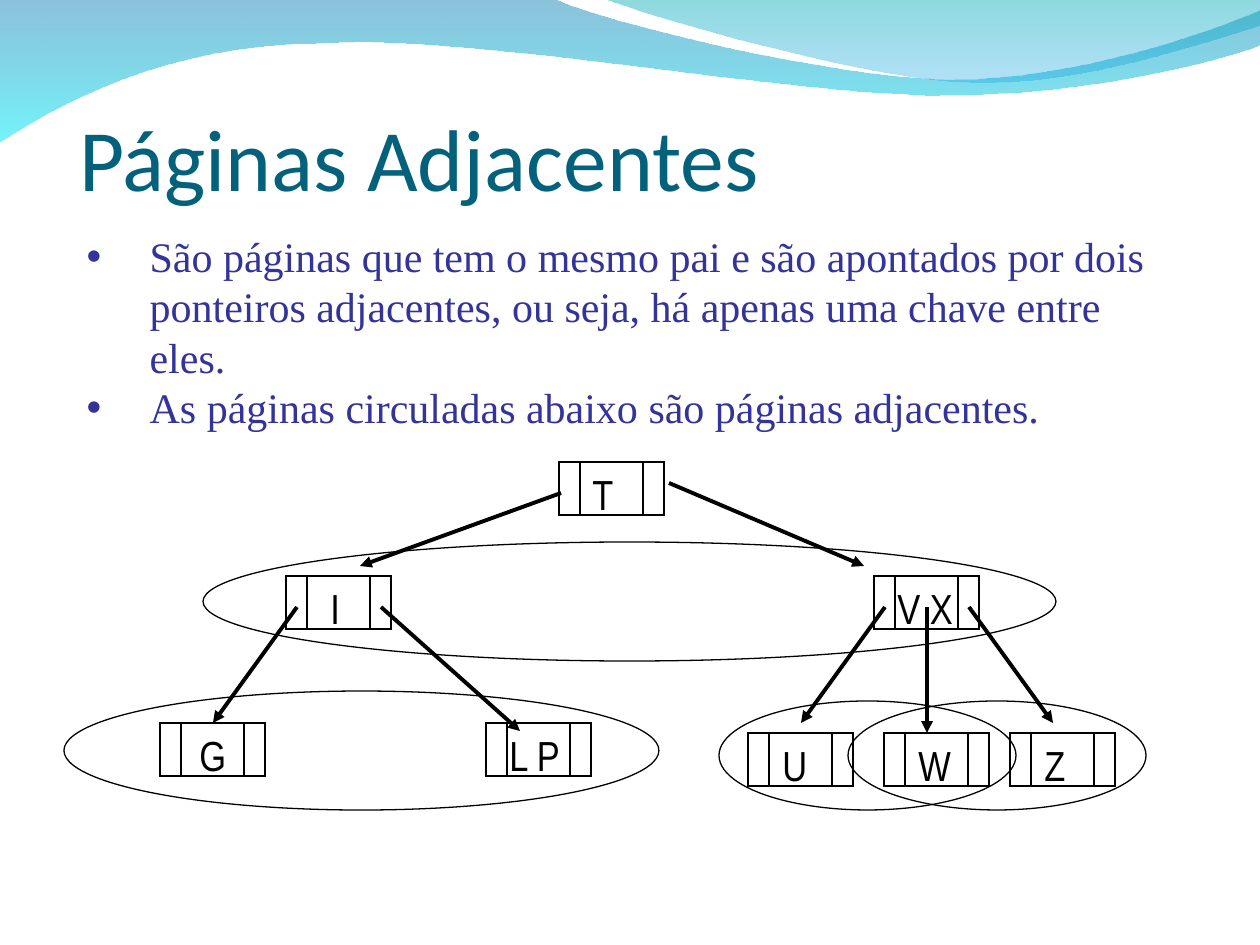
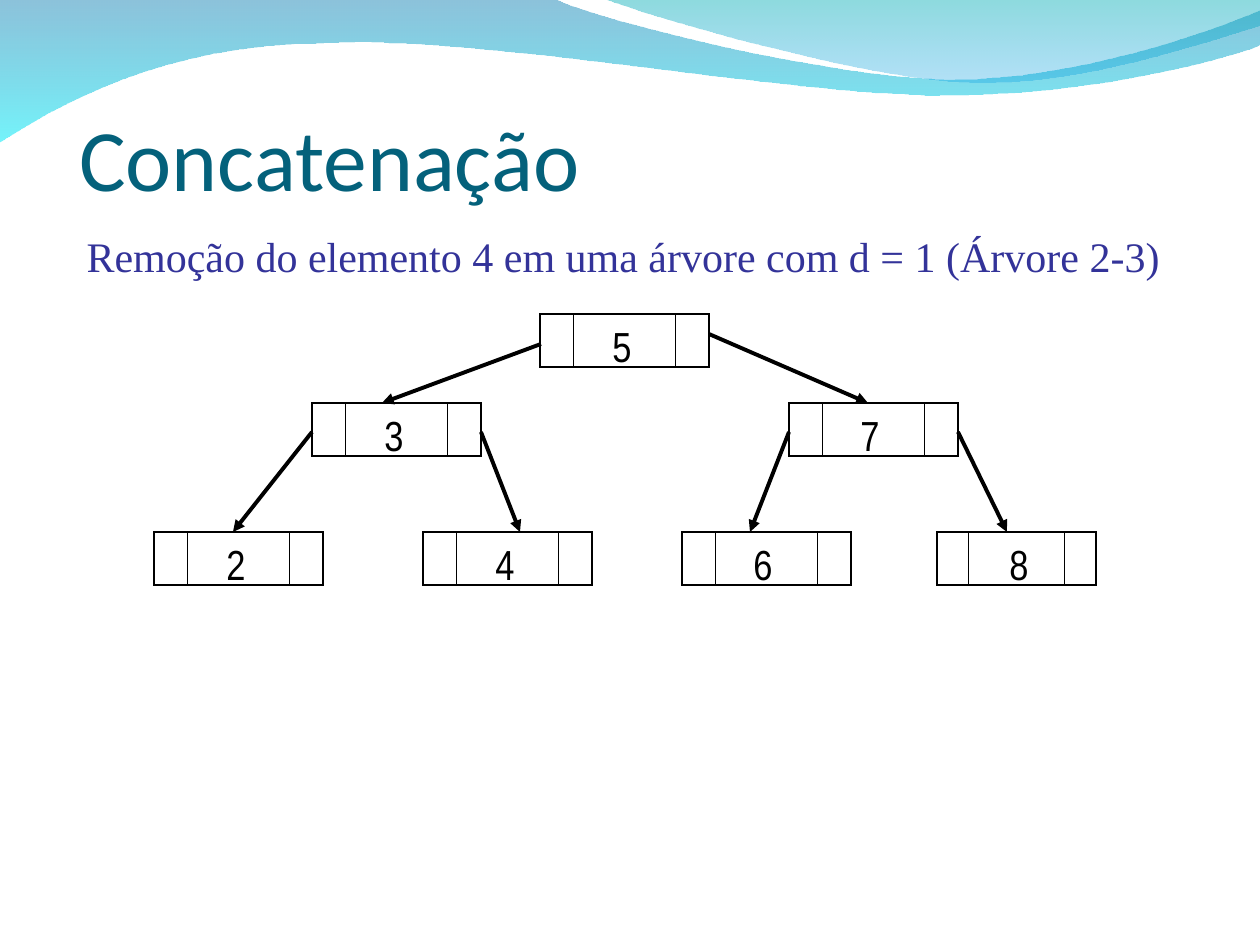
from lxml import etree
from pptx import Presentation
from pptx.dml.color import RGBColor
from pptx.enum.shapes import MSO_CONNECTOR, MSO_SHAPE
from pptx.enum.text import MSO_ANCHOR, MSO_AUTO_SIZE, PP_ALIGN
from pptx.oxml.ns import qn
from pptx.util import Emu, Pt

RECTANGLE, ELLIPSE = MSO_SHAPE.RECTANGLE, MSO_SHAPE.OVAL
STRAIGHT = MSO_CONNECTOR.STRAIGHT
LEFT, TOP, BOTTOM = PP_ALIGN.LEFT, MSO_ANCHOR.TOP, MSO_ANCHOR.BOTTOM
NO_AUTOFIT = MSO_AUTO_SIZE.NONE

SCALE = 914400 / 126
INK = RGBColor(0x00, 0x00, 0x00)
TITLE_TEAL = RGBColor(0x04, 0x61, 0x7B)
BODY_BLUE = RGBColor(0x33, 0x33, 0x99)
DEEP_BLUE = RGBColor(0x00, 0x79, 0xAF)
CYAN = RGBColor(0x00, 0xEB, 0xF8)
SEA_GREEN = RGBColor(0x00, 0xAD, 0xB6)
SKY_BLUE = RGBColor(0x00, 0x9B, 0xE5)

TITLE_FONT = {"name": "Calibri", "size": Pt(50)}
BODY_FONT = {"name": "Times New Roman", "size": Pt(24)}
KEY_FONT = {"name": "Arial Narrow", "size": Pt(24)}
PLAIN_PARAGRAPH = {"alignment": LEFT, "space_before": Pt(0)}

TITLE_BOX = (79, 43, 1103, 166)
BODY_LEFT, BODY_TOP, BODY_WIDTH = 74, 224, 1113
HANGING = 63
NODE_HEIGHT = 53
LABEL_SIZE = (126, 63)

WAVES = [
    {"start": (0, -1),
     "curves": [[(554, -1)],
                [(600, 21), (837, 79), (955, 79)],
                [(1075, 79), (1207, 33), (1260, 11)],
                [(1261, 45)],
                [(1239, 55), (1096, 96), (940, 95)],
                [(784, 95), (481, 35), (324, 43)],
                [(163, 44), (58, 105), (-1, 142)]],
     "stops": [(DEEP_BLUE, 45), (CYAN, 55)]},
    {"start": (604, -1),
     "curves": [[(641, 14), (859, 78), (969, 82)],
                [(1079, 87), (1211, 40), (1260, 26)],
                [(1260, 0)]],
     "stops": [(SEA_GREEN, 45), (SKY_BLUE, 30)]},
]

ADJACENT_TREE = {
    "origin": (64, 462),
    "node_width": 105,
    "nodes": [("T", 495, 0, 21), ("I", 222, 114, 32), ("V X", 810, 114, 11),
              ("G", 96, 261, 27), ("L P", 422, 261, 11), ("U", 684, 271, 22),
              ("W", 820, 271, 22), ("Z", 946, 271, 22)],
    "arrows": [(497, 31, 296, 104), (605, 21, 800, 104), (233, 145, 149, 261),
               (317, 145, 456, 269), (821, 145, 737, 261),
               (905, 145, 989, 261), (863, 145, 863, 271)],
    "rings": [(0, 229, 595, 119), (655, 239, 297, 109),
              (784, 239, 298, 109), (139, 80, 853, 119)],
}

CONCATENATION_TREE = {
    "origin": (154, 314),
    "node_width": 169,
    "nodes": [("5", 386, 0, 60), ("3", 158, 89, 60), ("7", 635, 89, 59),
              ("2", 0, 218, 60), ("4", 269, 218, 60), ("6", 528, 218, 59),
              ("8", 783, 218, 60, 159)],
    "arrows": [(387, 30, 228, 89), (555, 20, 714, 89), (158, 118, 79, 218),
               (327, 118, 366, 218), (635, 118, 596, 218),
               (804, 118, 853, 218)],
    "rings": [],
}


def px(*lengths):
    """Turn px lengths into EMU."""
    return [Emu(round(length * SCALE)) for length in lengths]


def apply(target, values):
    """Set every attribute of a dict of format values."""
    for attribute, value in values.items():
        setattr(target, attribute, value)


def place(shape, box):
    """Move a shape to a box of px."""
    apply(shape, dict(zip(("left", "top", "width", "height"), px(*box))))


def set_font(paragraph, values, color):
    """Format the font of a paragraph."""
    apply(paragraph.font, values)
    paragraph.font.color.rgb = color


def bend(band, curves):
    """Join each three line segments of a curve into one cubic segment."""
    segments = iter(list(band.element.iter(qn("a:lnTo"))))
    for curve in curves:
        parts = [next(segments) for corner in curve]
        if len(parts) == 3:
            cubic = etree.Element(qn("a:cubicBezTo"))
            parts[0].addprevious(cubic)
            for part in parts:
                cubic.append(part[0])
                part.getparent().remove(part)


def add_waves(slide, master):
    """Draw the gradient waves and keep them on the master."""
    for index, wave in enumerate(WAVES):
        outline = slide.shapes.build_freeform(*px(*wave["start"]))
        outline.add_line_segments(
            [px(*corner) for curve in wave["curves"] for corner in curve])
        band = outline.convert_to_shape()
        bend(band, wave["curves"])
        band.shadow.inherit = False
        band.line.fill.background()
        band.fill.gradient()
        band.fill.gradient_angle = 270
        for stop, (color, opacity) in zip(band.fill.gradient_stops, wave["stops"]):
            stop.color.rgb = color
        for tint, (color, opacity) in zip(band.element.iter(qn("a:srgbClr")),
                                          wave["stops"]):
            etree.SubElement(tint, qn("a:alpha"), val=str(opacity * 1000))
        band.element.nvSpPr.cNvPr.set("id", str(20 + index))
        master.shapes.element.insert(2 + index, band.element)


def fill_title(slide, heading):
    """Write the slide title."""
    title = slide.shapes.title
    place(title, TITLE_BOX)
    frame = title.text_frame
    frame.text = heading
    apply(frame, {"auto_size": NO_AUTOFIT, "vertical_anchor": BOTTOM,
                  "margin_left": 0, "margin_right": 0, "margin_bottom": 0})
    apply(frame.paragraphs[0], PLAIN_PARAGRAPH)
    set_font(frame.paragraphs[0], TITLE_FONT, TITLE_TEAL)


def set_bullet(paragraph, bulleted):
    """Give a paragraph a hanging indent with or without a bullet."""
    (hanging,) = px(HANGING)
    properties = paragraph._p.get_or_add_pPr()
    properties.set("marL", str(hanging))
    properties.set("indent", str(-hanging))
    if bulleted:
        tint = etree.SubElement(properties, qn("a:buClr"))
        etree.SubElement(tint, qn("a:srgbClr"), val=str(BODY_BLUE))
        etree.SubElement(properties, qn("a:buFont"), typeface="Arial")
        etree.SubElement(properties, qn("a:buChar"), char="•")
    else:
        etree.SubElement(properties, qn("a:buNone"))


def fill_body(slide, statements, height, bulleted):
    """Write the statements above the tree."""
    body = slide.placeholders[1]
    place(body, (BODY_LEFT, BODY_TOP, BODY_WIDTH, height))
    frame = body.text_frame
    frame.text = "\n".join(statements)
    apply(frame, {"auto_size": NO_AUTOFIT, "vertical_anchor": TOP})
    for paragraph in frame.paragraphs:
        set_bullet(paragraph, bulleted)
        apply(paragraph, PLAIN_PARAGRAPH)
        set_font(paragraph, BODY_FONT, BODY_BLUE)


def set_line(shape, width):
    """Draw the line of a shape in ink with mitred corners."""
    shape.line.width = Pt(width)
    shape.line.color.rgb = INK
    etree.SubElement(shape.line._get_or_add_ln(), qn("a:miter"), lim="800000")


def add_outline(shapes, kind, box):
    """Add an unfilled shape with a thin line."""
    outline = shapes.add_shape(kind, *px(*box))
    outline.shadow.inherit = False
    outline.fill.background()
    set_line(outline, 0.75)


def add_line(shapes, ends, width):
    """Add a straight line without a shadow."""
    line = shapes.add_connector(STRAIGHT, *px(*ends))
    set_line(line, width)
    etree.SubElement(line.element.spPr, qn("a:effectLst"))
    return line


def add_arrow(shapes, ends):
    """Add a pointer from a page to its child."""
    pointer = add_line(shapes, ends, 2.25)
    etree.SubElement(pointer.line._get_or_add_ln(), qn("a:tailEnd"),
                     type="triangle")


def add_node(shapes, keys, box, label_inset):
    """Add a page with a pointer cell at each side of its keys."""
    left, top, width, height = box
    page = shapes.add_group_shape().shapes
    add_outline(page, RECTANGLE, box)
    for share in (0.2, 0.8):
        divider = left + width * share
        add_line(page, (divider, top, divider, top + height), 0.75)
    label = shapes.add_textbox(*px(left + label_inset, top, *LABEL_SIZE))
    label.text_frame.word_wrap = True
    label.text_frame.text = keys
    set_font(label.text_frame.paragraphs[0], KEY_FONT, INK)


def add_tree(slide, tree):
    """Draw pages, pointers and rings relative to the tree's origin."""
    x, y = tree["origin"]
    for keys, left, top, label_inset, *own_width in tree["nodes"]:
        width = own_width[0] if own_width else tree["node_width"]
        add_node(slide.shapes, keys, (x + left, y + top, width, NODE_HEIGHT),
                 label_inset)
    for x1, y1, x2, y2 in tree["arrows"]:
        add_arrow(slide.shapes, (x + x1, y + y1, x + x2, y + y2))
    for left, top, width, height in tree["rings"]:
        add_outline(slide.shapes, ELLIPSE, (x + left, y + top, width, height))


def add_tree_slide(deck, heading, statements, body_height, bulleted, tree):
    """Add a slide with a title, statements and a tree."""
    slide = deck.slides.add_slide(deck.slide_layouts[1])
    fill_title(slide, heading)
    fill_body(slide, statements, body_height, bulleted)
    add_tree(slide, tree)
    return slide


def main():
    """Build the deck."""
    deck = Presentation()
    deck.slide_width, deck.slide_height = px(1260, 945)
    first = add_tree_slide(
        deck, "Páginas Adjacentes",
        ["São páginas que tem o mesmo pai e são apontados por dois ponteiros "
         "adjacentes, ou seja, há apenas uma chave entre eles.",
         "As páginas circuladas abaixo são páginas adjacentes."],
        214, True, ADJACENT_TREE)
    add_waves(first, deck.slide_master)
    add_tree_slide(
        deck, "Concatenação",
        ["Remoção do elemento 4 em uma árvore com d = 1 (Árvore 2-3)"],
        63, False, CONCATENATION_TREE)
    deck.save("out.pptx")


if __name__ == "__main__":
    main()
